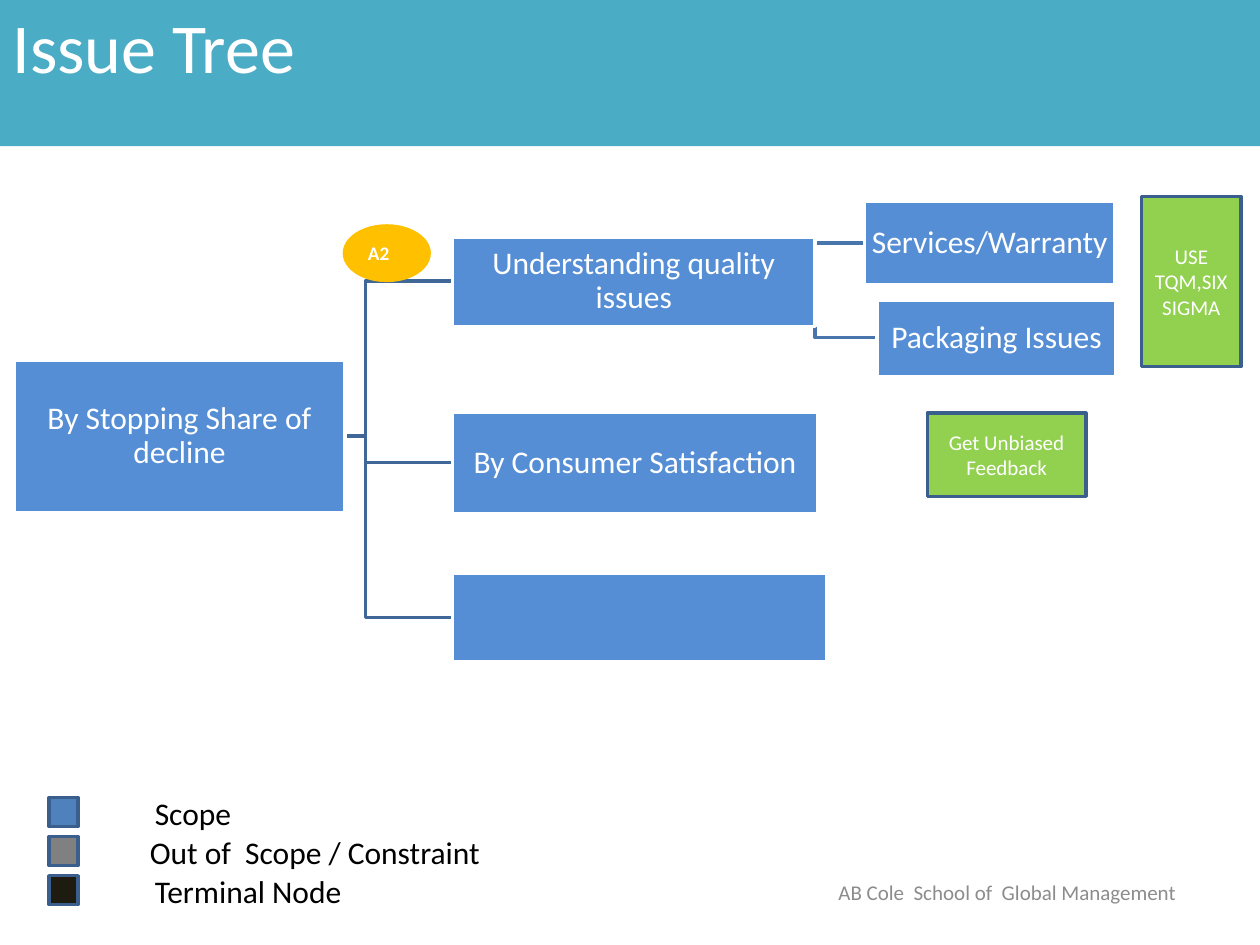
from dataclasses import dataclass
from typing import Optional

from pptx import Presentation
from pptx.dml.color import RGBColor
from pptx.enum.shapes import MSO_SHAPE as Preset
from pptx.enum.text import MSO_ANCHOR as Anchor, MSO_AUTO_SIZE as AutoSize, PP_ALIGN as Align
from pptx.util import Pt

PX = 9144
FONT = "Calibri"
WHITE, BLACK, GREY = "FFFFFF", "000000", "8C8C8C"
TEAL, BLUE, GREEN, AMBER, NAVY = "4BACC6", "558ED5", "92D050", "FFC000", "3A5F8C"


@dataclass(frozen=True)
class Box:
    left: int
    top: int
    width: int
    height: int
    text: str = ""

    @property
    def middle(self) -> int:
        return self.top + self.height // 2

    @property
    def emu(self) -> tuple:
        return tuple(side * PX for side in (self.left, self.top, self.width, self.height))


@dataclass(frozen=True)
class Branch:
    parent: Box
    children: tuple
    spine_gap: int
    color: str


@dataclass(frozen=True)
class LegendEntry:
    label: str
    left: int
    color: str


def rgb(hex_color: str) -> RGBColor:
    return RGBColor.from_string(hex_color)


def write(frame, text: str, size: int, color: str, align=Align.LEFT,
          anchor=Anchor.MIDDLE, wrap: bool = True, bold: bool = False):
    frame.auto_size = AutoSize.NONE
    frame.word_wrap = wrap
    frame.vertical_anchor = anchor
    frame.text = text
    paragraph = frame.paragraphs[0]
    paragraph.alignment = align
    font = paragraph.font
    font.name, font.size, font.bold = FONT, Pt(size), bold
    font.color.rgb = rgb(color)
    return paragraph


def draw_shape(slide, box: Box, fill: str, outline: Optional[str] = None, preset=Preset.RECTANGLE):
    shape = slide.shapes.add_shape(preset, *box.emu)
    shape.shadow.inherit = False
    shape.fill.solid()
    shape.fill.fore_color.rgb = rgb(fill)
    if outline:
        shape.line.color.rgb = rgb(outline)
        shape.line.width = Pt(2)
    else:
        shape.line.fill.background()
    return shape


def draw_node(slide, node: Box) -> None:
    frame = draw_shape(slide, node, BLUE, WHITE).text_frame
    if node.text:
        write(frame, node.text, 18, WHITE, Align.CENTER).line_spacing = 0.9
        frame.margin_left = frame.margin_right = frame.margin_top = frame.margin_bottom = PX


def draw_branch(slide, branch: Branch) -> None:
    start = branch.parent.left + branch.parent.width
    spine = start + branch.spine_gap
    for child in branch.children:
        builder = slide.shapes.build_freeform(start, branch.parent.middle, scale=PX)
        builder.add_line_segments(
            [(spine, branch.parent.middle), (spine, child.middle), (child.left, child.middle)],
            close=False)
        elbow = builder.convert_to_shape()
        elbow.shadow.inherit = False
        elbow.fill.background()
        elbow.line.color.rgb = rgb(branch.color)
        elbow.line.width = Pt(2)


def draw_label(slide, box: Box, size: int, color: str, **style) -> None:
    write(slide.shapes.add_textbox(*box.emu).text_frame, box.text, size, color, **style)


def draw_title(slide, banner: Box) -> None:
    title = slide.shapes.title
    title.left, title.top, title.width, title.height = banner.emu
    title.fill.solid()
    title.fill.fore_color.rgb = rgb(TEAL)
    write(title.text_frame, banner.text, 40, WHITE, anchor=Anchor.TOP)


def draw_legend(slide, entries: tuple) -> None:
    for row, entry in enumerate(entries):
        top = 633 + 31 * row
        draw_shape(slide, Box(39, top, 23, 23), entry.color, NAVY)
        draw_label(slide, Box(entry.left, top - 8, 285, 40, entry.label), 18, BLACK,
                   anchor=Anchor.TOP, wrap=False)


def main() -> None:
    deck = Presentation()
    deck.slide_width, deck.slide_height = 1000 * PX, 750 * PX
    slide = deck.slides.add_slide(deck.slide_layouts[5])
    draw_title(slide, Box(0, -2, 1000, 118, "Issue Tree"))

    decline = Box(11, 286, 263, 121, "By Stopping Share of decline")
    quality = Box(359, 188, 288, 71, "Understanding quality issues")
    satisfaction = Box(359, 327, 290, 81, "By Consumer Satisfaction")
    open_issue = Box(359, 455, 297, 70)
    services = Box(686, 160, 199, 66, "Services/Warranty")
    packaging = Box(696, 238, 190, 61, "Packaging Issues")
    branches = (
        Branch(decline, (open_issue, satisfaction, quality), 16, "3F6797"),
        Branch(quality, (packaging, services), 0, "4875AC"),
    )
    for branch in branches:
        draw_branch(slide, branch)
    for node in (decline, quality, services, packaging, satisfaction, open_issue):
        draw_node(slide, node)

    marker = Box(272, 178, 70, 46, "A2")
    write(draw_shape(slide, marker, AMBER, preset=Preset.OVAL).text_frame,
          marker.text, 11, WHITE, bold=True)

    draw_legend(slide, (
        LegendEntry("Scope", 113, "4F81BD"),
        LegendEntry("Out of  Scope / Constraint", 109, "808080"),
        LegendEntry("Terminal Node", 113, "1E1C11"),
    ))
    draw_label(slide, Box(641, 688, 317, 40, "AB Cole  School of  Global Management"),
               12, GREY, align=Align.CENTER)

    actions = (
        Box(906, 156, 79, 135, "USE TQM,SIX SIGMA"),
        Box(736, 328, 126, 66, "Get Unbiased Feedback"),
    )
    for action in actions:
        write(draw_shape(slide, action, GREEN, NAVY).text_frame, action.text, 12, WHITE, Align.CENTER)

    deck.save("out.pptx")


if __name__ == "__main__":
    main()
